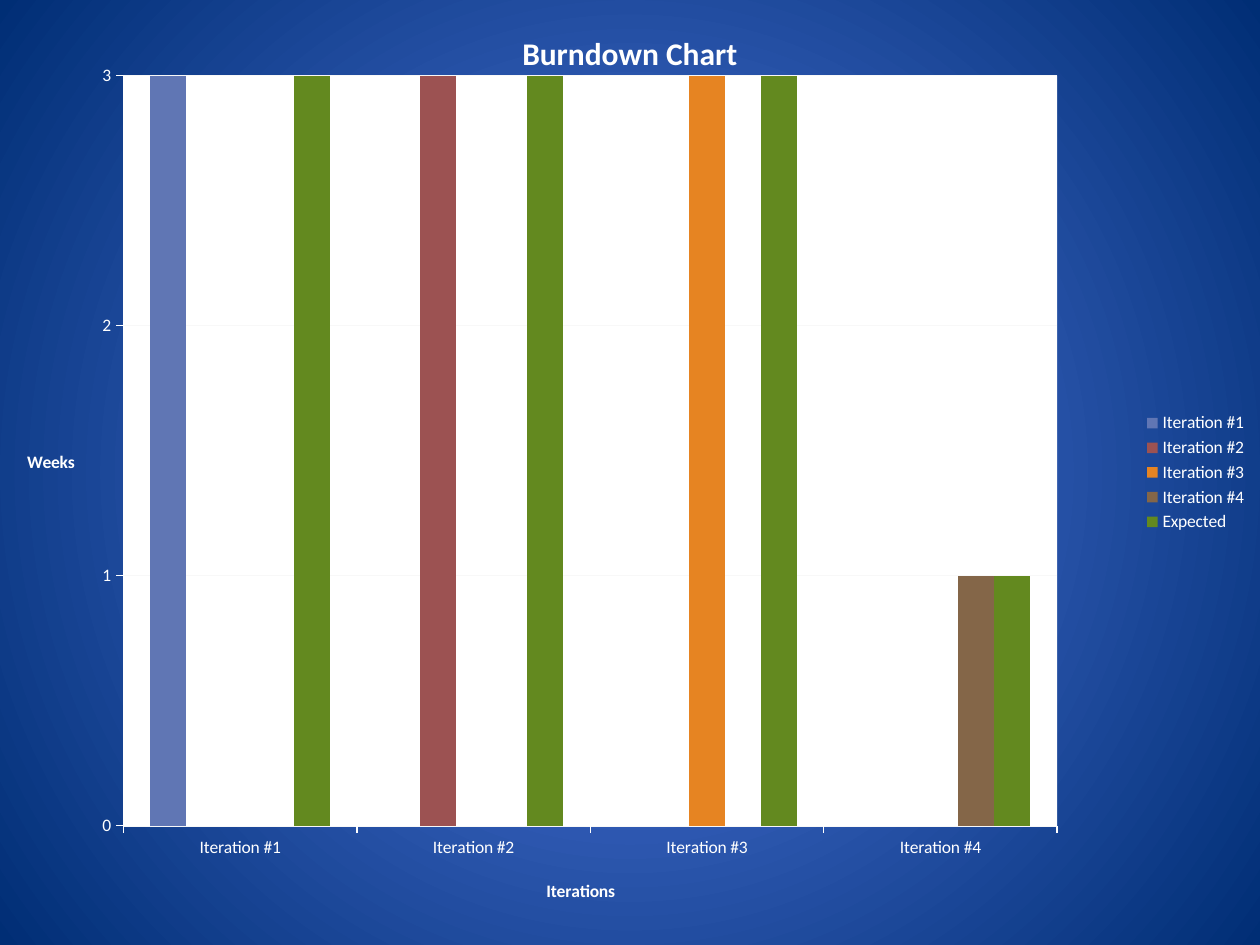
from typing import NamedTuple, Optional

from lxml.etree import SubElement as Sub
from pptx import Presentation
from pptx.chart.data import CategoryChartData as Data
from pptx.dml.color import RGBColor as Rgb
from pptx.enum.chart import XL_CHART_TYPE as Kind
from pptx.enum.chart import XL_LEGEND_POSITION as Side
from pptx.enum.chart import XL_TICK_MARK as Tick
from pptx.oxml import parse_xml
from pptx.oxml.ns import nsdecls, qn
from pptx.util import Cm, Pt

FONT = "Calibri"
WHITE = "FFFFFF"
WIDE, HIGH = Cm(25.4), Cm(19.05)


class Bar(NamedTuple):
    """One series of the chart."""
    name: str
    color: str
    weeks: tuple[Optional[int], ...]


STEPS = [f"Iteration #{n}" for n in range(1, 5)]
HUES = ["6076B4", "9C5252", "E68422", "846648"]
PLAN = (3, 3, 3, 1)
BARS = [
    Bar(step, hue, tuple(week if i == j else None for j, week in enumerate(PLAN)))
    for i, (step, hue) in enumerate(zip(STEPS, HUES))
] + [Bar("Expected", "63891F", PLAN)]


def paint(color, code: str) -> None:
    """Set a colour from a hex string."""
    color.rgb = Rgb.from_string(code)


def style(font, size: float, bold: bool = False) -> None:
    """Give a font the slide's face in white."""
    font.name, font.size, font.bold = FONT, Pt(size), bold
    paint(font.color, WHITE)


def place(node, index: int, **spots: float) -> None:
    """Put a manual layout, in percent of the chart, into a chart element."""
    for old in node.findall(qn("c:layout")):
        node.remove(old)
    box = parse_xml(f"<c:layout {nsdecls('c')}><c:manualLayout/></c:layout>")
    if "w" in spots:
        Sub(box[0], qn("c:layoutTarget")).set("val", "inner")
    for key in ("x", "y"):
        Sub(box[0], qn(f"c:{key}Mode")).set("val", "edge")
    for key, spot in spots.items():
        Sub(box[0], qn(f"c:{key}")).set("val", f"{spot / 100:.3f}")
    node.insert(index, box)


def label(title, text: str, size: float, x: float, y: float) -> None:
    """Write a level chart or axis title at a set place."""
    frame = title.text_frame
    frame.text = text
    style(frame.paragraphs[0].runs[0].font, size, True)
    body = title.element.find(".//" + qn("a:bodyPr"))
    body.set("rot", "0")
    body.set("vert", "horz")
    place(title.element, 1, x=x, y=y)


def trim(axis, text: str, x: float, y: float) -> None:
    """Format an axis and its title."""
    axis.major_tick_mark, axis.minor_tick_mark = Tick.OUTSIDE, Tick.NONE
    paint(axis.format.line.color, WHITE)
    style(axis.tick_labels.font, 10)
    label(axis.axis_title, text, 10, x, y)


def shade(slide) -> None:
    """Fill the background with a round gradient."""
    fill = slide.background.fill
    fill.gradient()
    for stop, code in zip(fill.gradient_stops, ("547BE2", "002E75")):
        paint(stop.color, code)
    line = slide.element.find(".//" + qn("a:lin"))
    line.getparent().replace(line, parse_xml(
        f'<a:path {nsdecls("a")} path="circle">'
        '<a:fillToRect l="50000" t="50000" r="50000" b="50000"/></a:path>'))


def draw(slide) -> None:
    """Add the burndown chart."""
    data = Data()
    data.categories = STEPS
    for bar in BARS:
        data.add_series(bar.name, bar.weeks)
    chart = slide.shapes.add_chart(
        Kind.COLUMN_CLUSTERED, 0, 0, WIDE, HIGH, data).chart
    style(chart.font, 10)

    chart.has_title = True
    label(chart.chart_title, "Burndown Chart", 18, 41, 2.7)
    chart.chart_title.element.find(qn("c:overlay")).set("val", "1")

    plot = chart.plots[0]
    plot.gap_width, plot.overlap, plot.vary_by_categories = 150, 0, False
    for bar, row in zip(BARS, plot.series):
        row.format.fill.solid()
        paint(row.format.fill.fore_color, bar.color)

    trim(chart.category_axis, "Iterations", 43.1, 92.8)
    axis = chart.value_axis
    trim(axis, "Weeks", 1.9, 47.3)
    axis.minimum_scale, axis.maximum_scale, axis.major_unit = 0, 3, 1
    axis.has_major_gridlines = True
    grid = axis.major_gridlines.format.line
    grid.width = Pt(0.25)
    paint(grid.color, "F8F8F8")

    chart.has_legend = True
    chart.legend.position = Side.RIGHT
    chart.legend.include_in_layout = False
    style(chart.legend.font, 10)

    area = chart.element.find(".//" + qn("c:plotArea"))
    place(area, 0, x=9.8, y=8, w=74.1, h=79.4)
    area.append(parse_xml(
        f'<c:spPr {nsdecls("c", "a")}><a:solidFill><a:srgbClr val="{WHITE}"/>'
        "</a:solidFill></c:spPr>"))


def main() -> None:
    """Build and save the slide."""
    deck = Presentation()
    deck.slide_width, deck.slide_height = WIDE, HIGH
    slide = deck.slides.add_slide(deck.slide_layouts[6])
    shade(slide)
    draw(slide)
    deck.save("out.pptx")


main()
